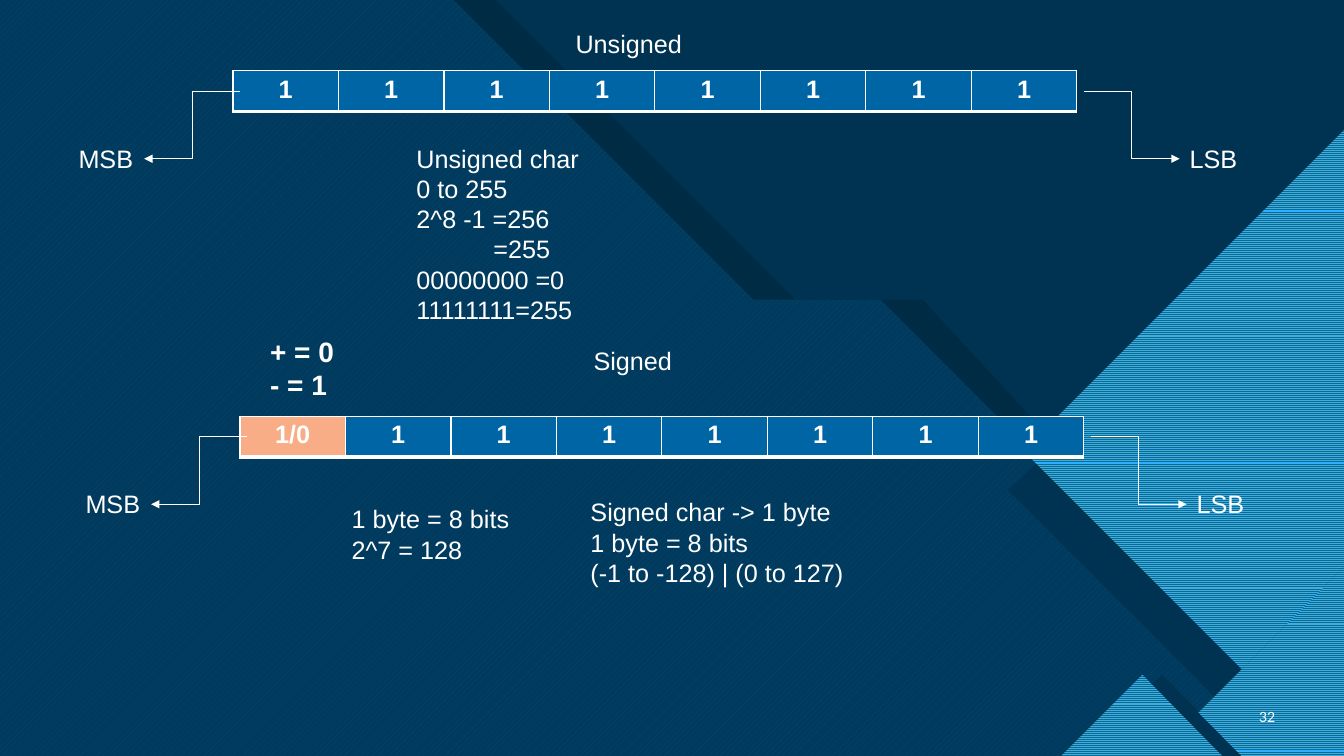
from dataclasses import dataclass

from lxml import etree
from pptx import Presentation
from pptx.dml.color import RGBColor
from pptx.enum.dml import MSO_PATTERN
from pptx.enum.shapes import MSO_CONNECTOR
from pptx.enum.text import MSO_ANCHOR, MSO_AUTO_SIZE, PP_ALIGN
from pptx.oxml.ns import qn
from pptx.util import Pt

ELBOW = MSO_CONNECTOR.ELBOW
CENTER, RIGHT = PP_ALIGN.CENTER, PP_ALIGN.RIGHT
MIDDLE = MSO_ANCHOR.MIDDLE
FIT_TEXT = MSO_AUTO_SIZE.SHAPE_TO_FIT_TEXT
UP_STRIPES, FLAT_STRIPES = MSO_PATTERN.WIDE_UPWARD_DIAGONAL, MSO_PATTERN.NARROW_HORIZONTAL


@dataclass(frozen=True)
class Theme:
    """Colours, fonts and type sizes of the slide."""
    navy: str = "003352"
    blue: str = "0065A4"
    cyan: str = "47C3D3"
    sky: str = "2FAFFF"
    teal: str = "1B6872"
    sign: str = "F8AD86"
    white: str = "FFFFFF"
    black: str = "000000"
    font: str = "Arial"
    number_font: str = "Lato"
    body: int = 18
    large: int = 20
    small: int = 10


THEME = Theme()


def color(name):
    """Turn a hex string into a colour."""
    return RGBColor.from_string(name)


def style_text(text_frame, size=THEME.body, bold=False, font=THEME.font, align=None):
    """Format every run in a text frame."""
    for paragraph in text_frame.paragraphs:
        paragraph.alignment = align
        for run in paragraph.runs:
            run.font.size = Pt(size)
            run.font.bold = bold
            run.font.name = font
            run.font.color.rgb = color(THEME.white)


def add_text(slide, box, text, wrap=False, **style):
    """Add a text box that fits its text."""
    text_frame = slide.shapes.add_textbox(*map(Pt, box)).text_frame
    text_frame.text = text
    text_frame.word_wrap = wrap
    text_frame.auto_size = FIT_TEXT
    style_text(text_frame, **style)
    return text_frame


def add_polygon(slide, points, fill, stripe=None, pattern=None, opacity=100):
    """Add a closed outline, plain or striped."""
    builder = slide.shapes.build_freeform(*points[0], scale=Pt(1))
    builder.add_line_segments(points[1:], close=True)
    shape = builder.convert_to_shape()
    shape.shadow.inherit = False
    shape.line.fill.background()
    if stripe:
        shape.fill.patterned()
        shape.fill.pattern = pattern
        shape.fill.fore_color.rgb = color(stripe)
        shape.fill.back_color.rgb = color(fill)
    else:
        shape.fill.solid()
        shape.fill.fore_color.rgb = color(fill)
    if opacity < 100:
        fill_color = shape._element.spPr.find(".//" + qn("a:srgbClr"))
        etree.SubElement(fill_color, qn("a:alpha"), val=str(opacity * 1000))


def add_backdrop(slide, width, height):
    """Draw the striped panel and the diamonds on its right."""
    def panel(shift):
        """Return the stepped panel outline, its edge moved right by shift."""
        edge = [(324, 0), (538, 214), (629, 214), (955, height)]
        return [(0, 0), *((min(x + shift, width), y) for x, y in edge), (0, height)]

    slide.background.fill.solid()
    slide.background.fill.fore_color.rgb = color(THEME.navy)
    add_polygon(slide, panel(30), THEME.black)
    add_polygon(slide, panel(0), THEME.blue, THEME.cyan, UP_STRIPES)
    veil = [(0, 0), (width, 0), (width, height), (0, height)]
    add_polygon(slide, veil, THEME.navy, opacity=85)

    shadows = [
        [(740, 331), (720, 350), (870, 500), (890, 480)],
        [(830, 482), (822, 489), (873, height), (888, height)],
    ]
    diamonds = [
        [(width, 93), (731, 322), (888, 479), (width, 407)],
        [(width, 405), (856, 509), (887, height), (width, height)],
        [(816, 482), (758, height), (873, height)],
    ]
    for points in shadows:
        add_polygon(slide, points, THEME.navy)
    for points in diamonds:
        add_polygon(slide, points, THEME.teal, THEME.sky, FLAT_STRIPES)


def add_border(cell, side, width):
    """Add one white border to a table cell."""
    line = etree.Element(qn(f"a:ln{side}"), w=str(Pt(width)))
    fill = etree.SubElement(line, qn("a:solidFill"))
    etree.SubElement(fill, qn("a:srgbClr"), val=THEME.white)
    return line


def add_bits(slide, box, bits):
    """Draw one byte as a row of table cells."""
    table = slide.shapes.add_table(1, len(bits), *map(Pt, box)).table
    table.first_row = table.horz_banding = False
    for cell, bit in zip(table.iter_cells(), bits):
        cell.text = bit
        style_text(cell.text_frame, bold=True, align=CENTER)
        cell.fill.solid()
        cell.fill.fore_color.rgb = color(THEME.blue if bit == "1" else THEME.sign)
        properties = cell._tc.get_or_add_tcPr()
        for index, (side, width) in enumerate(zip("LRTB", (1, 1, 1, 3))):
            properties.insert(index, add_border(cell, side, width))


def add_arrow(slide, start, end):
    """Draw a thin elbow arrow."""
    connector = slide.shapes.add_connector(ELBOW, *map(Pt, (*start, *end)))
    connector.line.width = Pt(0.5)
    connector.line.color.rgb = color(THEME.white)
    etree.SubElement(connector.line._ln, qn("a:tailEnd"), type="triangle")
    etree.SubElement(connector._element.spPr, qn("a:effectLst"))


def add_byte(slide, box, bits):
    """Draw a byte with arrows to its MSB and LSB labels."""
    left, top, width, height = box
    add_bits(slide, box, bits)
    middle, label_top, arrow_end = top + height / 2, top + 48.2, top + 63
    msb_edge, lsb_edge = left - 63.4, left + width + 73.4
    add_arrow(slide, (left + 5, middle), (msb_edge, arrow_end))
    add_arrow(slide, (left + width + 5, middle), (lsb_edge, arrow_end))
    add_text(slide, (msb_edge - 54, label_top, 54, 29), "MSB")
    add_text(slide, (lsb_edge, label_top, 49, 29), "LSB")


def add_unsigned(slide, left, top):
    """Draw the unsigned byte and its range."""
    add_byte(slide, (left, top, 602.8, 29.2), ["1"] * 8)
    add_text(slide, (left + 237.6, top - 33.8, 101.5, 29), "Unsigned", wrap=True)
    notes = add_text(
        slide, (left + 124, top + 48.2, 131.8, 160),
        "Unsigned char\n0 to 255\n2^8 -1 =256\n=255\n00000000 =0\n11111111=255")
    notes.paragraphs[3]._p.get_or_add_pPr().set("marL", str(Pt(55)))


def add_signed(slide, left, top):
    """Draw the signed byte, its sign bit and its range."""
    add_byte(slide, (left, top, 602.8, 29.2), ["1/0"] + ["1"] * 7)
    add_text(slide, (left + 14.4, top - 62, 80, 55.4), "+ = 0\n- = 1",
             wrap=True, size=THEME.large, bold=True)
    add_text(slide, (left + 245.5, top - 54, 101.5, 29), "Signed", wrap=True)
    add_text(slide, (left + 243.3, top + 54, 197.3, 72.7),
             "Signed char -> 1 byte\n1 byte = 8 bits\n(-1 to -128) | (0 to 127)")
    add_text(slide, (left + 72.7, top + 59, 128.2, 51), "1 byte = 8 bits\n2^7 = 128")


def add_slide_number(slide, box, number):
    """Place the slide number in its corner."""
    text_frame = add_text(slide, box, number, wrap=True, size=THEME.small,
                          font=THEME.number_font, align=RIGHT)
    text_frame.auto_size = MSO_AUTO_SIZE.NONE
    text_frame.vertical_anchor = MIDDLE


def main():
    """Build and save the slide."""
    presentation = Presentation()
    presentation.slide_width, presentation.slide_height = Pt(960), Pt(540)
    slide = presentation.slides.add_slide(presentation.slide_layouts[6])
    add_backdrop(slide, 960, 540)
    add_unsigned(slide, 166.4, 50.4)
    add_signed(slide, 171.4, 297.2)
    add_slide_number(slide, (886.3, 497.5, 31.7, 28.8), "32")
    presentation.save("out.pptx")


if __name__ == "__main__":
    main()
